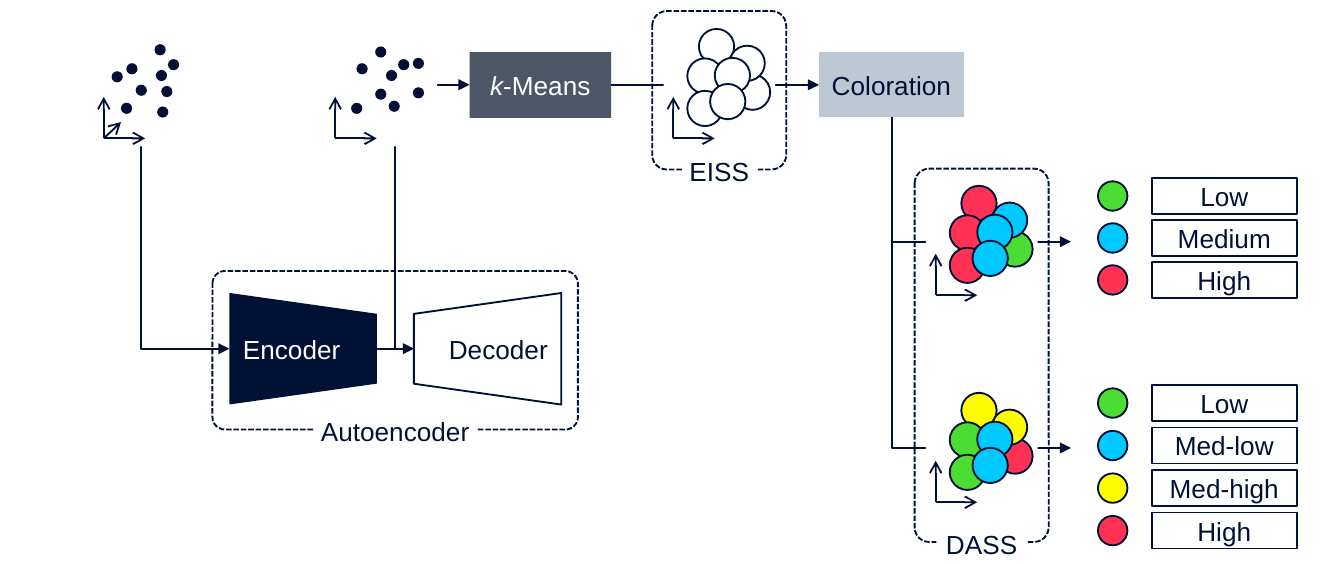
from dataclasses import dataclass

from pptx import Presentation
from pptx.dml.color import RGBColor
from pptx.enum.dml import MSO_LINE as Dash
from pptx.enum.shapes import MSO_CONNECTOR as Connector, MSO_SHAPE as Shape
from pptx.enum.text import MSO_ANCHOR as Anchor, PP_ALIGN as Align
from pptx.oxml.ns import qn
from pptx.util import Pt
from lxml.etree import SubElement


@dataclass(frozen=True)
class Theme:
    navy: str = "001135"
    white: str = "FFFFFF"
    slate: str = "4D5766"
    silver: str = "BEC8D2"
    green: str = "4BDD33"
    blue: str = "00C9FF"
    yellow: str = "FFFB00"
    red: str = "FF3154"
    font: str = "Arial"
    size: float = 14
    stroke: float = 1


THEME = Theme()

# Offsets inside a plot panel, in points
PANEL_HEIGHT = 64.8
ORIGIN = (5.2, 60.5)
AXIS = 22.2
BALLS = [(38.2, 26.3), (18.9, 1.8), (35.3, 10.8), (12.7, 17.6),
         (27.4, 17.3), (12.7, 35), (24.9, 31.3)]
INPUT_DOTS = [(22.3, 31.7), (14.4, 41.4), (33.8, 43.4), (17.3, 20.2), (32.4, 10),
              (33.1, 23.8), (39.6, 18), (36, 32.4), (9.4, 24.5)]
LATENT_DOTS = [(26.6, 33.8), (13.7, 41.4), (33.8, 40.3), (16.6, 20.2), (26.6, 11.2),
               (32.4, 23.8), (38.9, 18), (46.8, 33.1), (46.8, 17.3)]


class Diagram:
    def __init__(self, slide, theme):
        self.shapes = slide.shapes
        self.theme = theme

    def shape(self, kind, left, top, width, height, fill=None, line=None):
        item = self.shapes.add_shape(kind, Pt(left), Pt(top), Pt(width), Pt(height))
        item.shadow.inherit = False
        if fill:
            item.fill.solid()
            item.fill.fore_color.rgb = RGBColor.from_string(fill)
        else:
            item.fill.background()
        if line:
            item.line.color.rgb = RGBColor.from_string(line)
            item.line.width = Pt(self.theme.stroke)
        else:
            item.line.fill.background()
        return item

    def caption(self, item, text, color, align=Align.CENTER, anchor=Anchor.MIDDLE, bottom=0):
        frame = item.text_frame
        frame.text = text
        frame.vertical_anchor = anchor
        frame.margin_left = frame.margin_top = frame.margin_right = 0
        frame.margin_bottom = Pt(bottom)
        para = frame.paragraphs[0]
        para.alignment = align
        para.space_after = Pt(1.8)
        for span in para.runs:
            self.style(span, color)
        return para

    def style(self, span, color, italic=False):
        span.font.name = self.theme.font
        span.font.size = Pt(self.theme.size)
        span.font.italic = italic
        span.font.color.rgb = RGBColor.from_string(color)

    def box(self, left, top, width, height, text, fill, color, line=None):
        item = self.shape(Shape.RECTANGLE, left, top, width, height, fill, line)
        return self.caption(item, text, color)

    def circle(self, left, top, size, fill, line=None):
        self.shape(Shape.OVAL, left, top, size, size, fill, line)

    def trapezoid(self, center_x, center_y, text, fill, color, rotation, direction, align, line=None):
        """A trapezoid turned on its side, with its text kept level."""
        width, height = 59.8, 79
        item = self.shape(Shape.TRAPEZOID, center_x - width / 2, center_y - height / 2,
                          width, height, fill, line)
        item.adjustments[0] = 0.187
        item.rotation = rotation
        self.caption(item, text, color, align, bottom=7.2)
        item.text_frame._txBody.bodyPr.set("vert", direction)

    def frame(self, left, top, width, height, radius, text, label_width):
        """A dashed frame whose label interrupts its lower edge."""
        item = self.shape(Shape.ROUNDED_RECTANGLE, left, top, width, height, None, self.theme.navy)
        item.adjustments[0] = radius
        item.line.dash_style = Dash.SQUARE_DOT
        label = self.shape(Shape.RECTANGLE, left + (width - label_width) / 2, top + height - 7.5,
                           label_width, 17.3, self.theme.white)
        self.caption(label, text, self.theme.navy, anchor=Anchor.TOP)
        label.text_frame.word_wrap = False

    def arrow(self, start, end, head="triangle", kind=Connector.STRAIGHT):
        link = self.shapes.add_connector(kind, *(Pt(value) for value in (*start, *end)))
        link.line.color.rgb = RGBColor.from_string(self.theme.navy)
        link.line.width = Pt(self.theme.stroke)
        properties = link._element.spPr
        SubElement(properties.find(qn("a:ln")), qn("a:tailEnd"), type=head)
        SubElement(properties, qn("a:effectLst"))
        return link

    def step_arrow(self, start, end, bend):
        """An elbow that turns at the given share of its width."""
        link = self.arrow(start, end, kind=Connector.ELBOW)
        guides = link._element.spPr.find(qn("a:prstGeom")).find(qn("a:avLst"))
        SubElement(guides, qn("a:gd"), name="adj1", fmla=f"val {round(bend * 100000)}")

    def corner_arrow(self, start, end):
        """Down, then right: a one-bend elbow, mirrored and turned by 270 degrees."""
        link = self.arrow(start, end, kind=Connector.ELBOW)
        across, down = end[0] - start[0], end[1] - start[1]
        link.left = Pt((start[0] + end[0] - down) / 2)
        link.top = Pt((start[1] + end[1] - across) / 2)
        link.width, link.height = Pt(down), Pt(across)
        properties = link._element.spPr
        properties.find(qn("a:prstGeom")).set("prst", "bentConnector2")
        turn = properties.find(qn("a:xfrm"))
        turn.set("rot", "16200000")
        turn.set("flipH", "1")

    def panel(self, left, top, width=59.8, depth_axis=False):
        self.shape(Shape.RECTANGLE, left, top, width, PANEL_HEIGHT, self.theme.white)
        x, y = left + ORIGIN[0], top + ORIGIN[1]
        tips = [(x + AXIS, y), (x, y - AXIS)]
        if depth_axis:
            tips.append((x + 9.2, y - 8.7))
        for tip in tips:
            self.arrow((x, y), tip, "arrow")

    def scatter(self, left, top, dots, **options):
        self.panel(left, top, **options)
        for x, y in dots:
            self.circle(left + x, top + y, 6, self.theme.navy)

    def cluster(self, left, top, colors):
        self.panel(left, top)
        for (x, y), color in zip(BALLS, colors):
            self.circle(left + x, top + y, 18.9, color, self.theme.navy)

    def legend(self, top, pitch, entries):
        for row, (text, color) in enumerate(entries):
            y = top + row * pitch
            self.box(617, y, 77.8, 19.4, text, self.theme.white, self.theme.navy, self.theme.navy)
            self.circle(588.2, y + 1.8, 15.8, color, self.theme.navy)


def main():
    deck = Presentation()
    deck.slide_width, deck.slide_height = Pt(720), Pt(302.4)
    page = Diagram(deck.slides.add_slide(deck.slide_layouts[6]), THEME)
    t = THEME
    flow_y, coder_y, panel_y = 45.5, 187, 13.7

    # Autoencoder
    page.trapezoid(162.4, coder_y, "Encoder", t.navy, t.white, 90, "vert270", Align.LEFT)
    page.trapezoid(261.2, coder_y, "Decoder", t.white, t.navy, 270, "vert", Align.RIGHT, t.navy)
    page.frame(113.8, 145.3, 195.8, 85, 0.079, "Autoencoder", 87.4)
    page.arrow((201.6, coder_y), (221.8, coder_y))

    # Input and latent space
    page.corner_arrow((75.6, 77.8), (122.9, coder_y))
    page.scatter(50.4, panel_y, INPUT_DOTS, width=49.7, depth_axis=True)
    page.step_arrow((201.6, coder_y), (251.6, flow_y), 0.2)
    page.scatter(174.4, panel_y, LATENT_DOTS)

    # Clustering
    para = page.box(251.6, 28, 75.8, 35.2, "k", t.slate, t.white)
    para.runs[0].font.italic = True
    span = para.add_run()
    span.text = "-Means"
    page.style(span, t.white)
    page.frame(349.4, 5.9, 71.8, 85, 0.109, "EISS", 39.8)
    page.arrow((327.4, flow_y), (438.8, flow_y))
    page.cluster(355.5, panel_y, [t.white] * len(BALLS))

    # Coloration
    page.box(438.8, 28, 77.6, 34.7, "Coloration", t.silver, t.navy)
    page.frame(490, 90.4, 71.8, 200.2, 0.109, "DASS", 48.5)
    for end_y in (129.6, 240.2):
        page.corner_arrow((477.7, 62.7), (573.7, end_y))
    page.cluster(496.1, 97.8, [t.green, t.red, t.blue, t.red, t.blue, t.red, t.blue])
    page.cluster(496.1, 208.8, [t.red, t.yellow, t.yellow, t.green, t.blue, t.green, t.blue])

    # Legends
    page.legend(95.4, 22.5, [("Low", t.green), ("Medium", t.blue), ("High", t.red)])
    page.legend(206.4, 22.8, [("Low", t.green), ("Med-low", t.blue),
                              ("Med-high", t.yellow), ("High", t.red)])

    deck.save("out.pptx")


if __name__ == "__main__":
    main()
